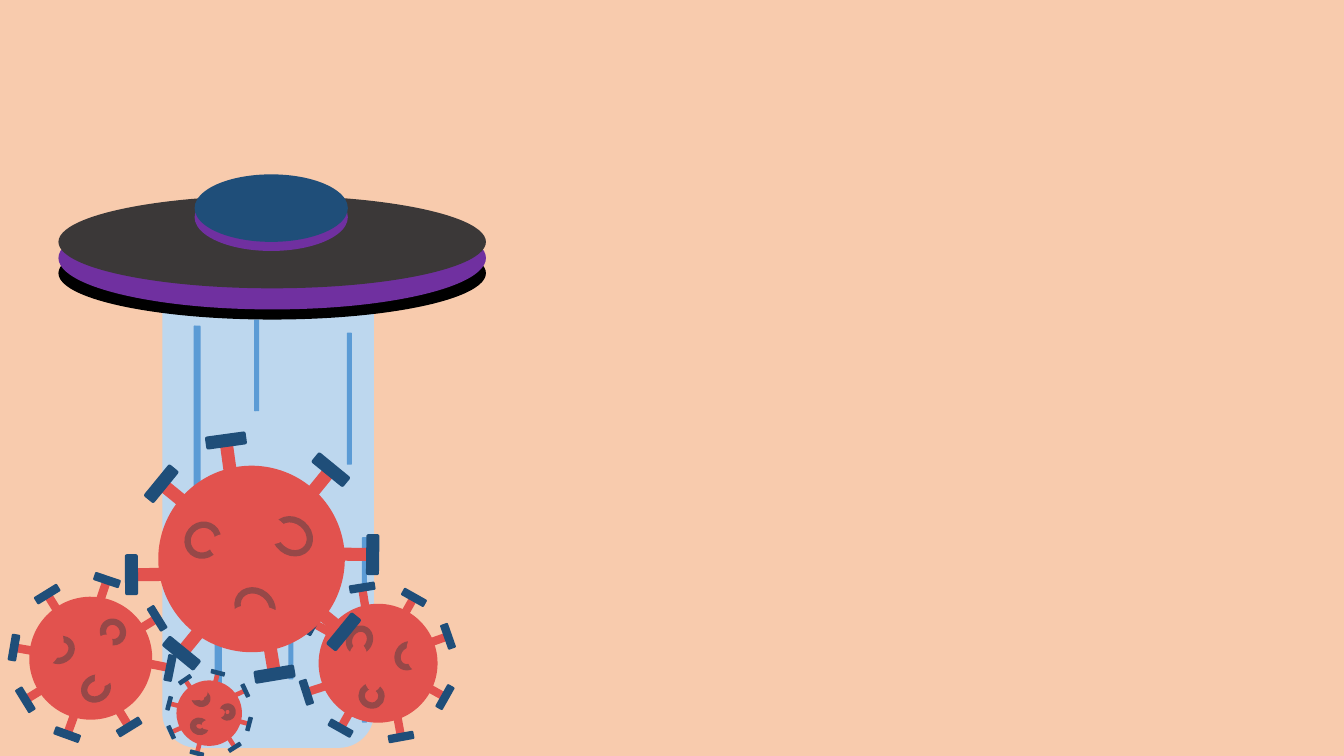
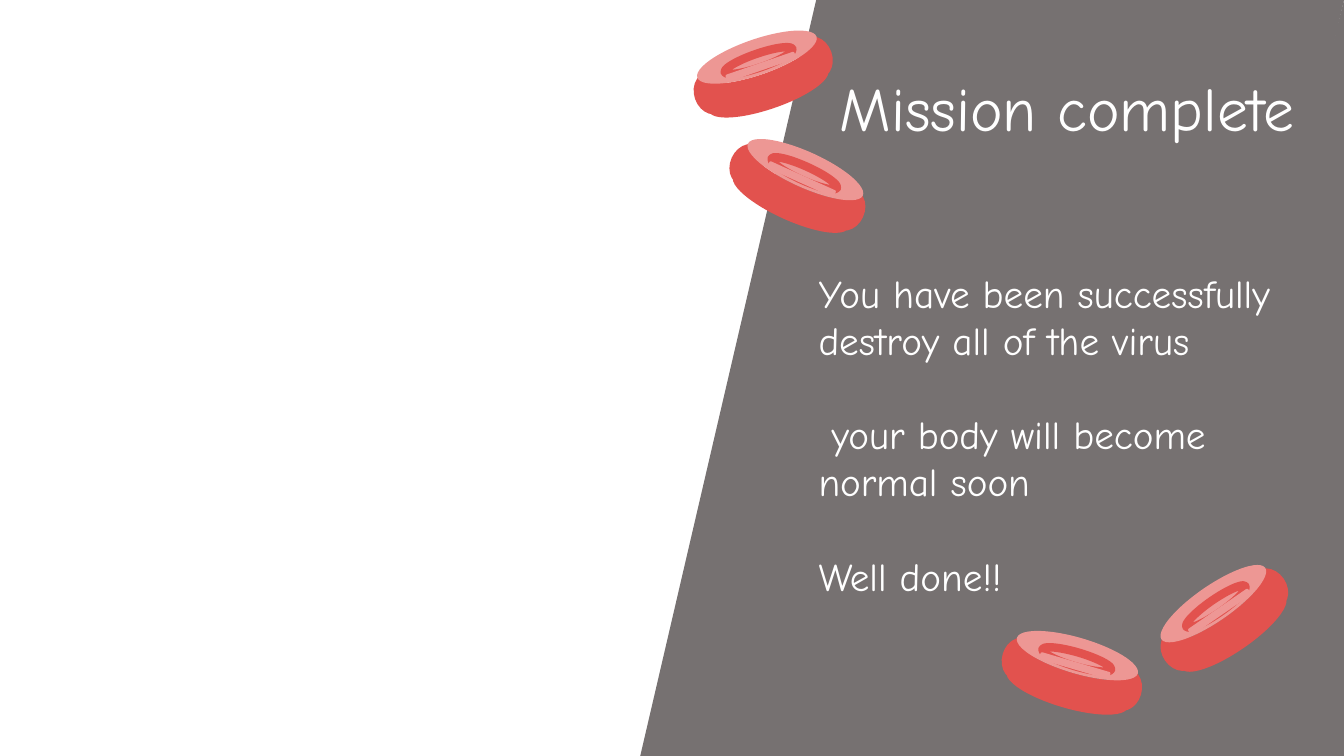
from math import cos, radians, sin

from pptx import Presentation
from pptx.dml.color import RGBColor
from pptx.enum.shapes import MSO_SHAPE as Preset
from pptx.enum.text import MSO_ANCHOR as Anchor, MSO_AUTO_SIZE as AutoSize, PP_ALIGN as Align
from pptx.util import Inches, Pt

# Grid of square cells, ten to the inch
CELL = Inches(0.1)
COLUMNS, ROWS = 133.3, 75
TITLE_ONLY, BLANK = 5, 6

FONT = "Comic Neue"
WHITE, PEACH, GREY = "FFFFFF", "F8CBAD", "767171"
BEAM, STREAK = "BDD7EE", "5B9BD5"
BLACK, PURPLE, CHARCOAL, NAVY = "000000", "7030A0", "3B3838", "1F4E79"
RED, DARK_RED, PINK = "E2524E", "964848", "EE9795"

# Streaks in the beam: left, top, width, height
STREAKS = [
    (19.2, 32.3, 0.7, 21.3), (25.2, 31.7, 0.5, 9.1), (34.4, 33, 0.5, 13.1),
    (35.9, 53.3, 0.5, 18.4), (28.6, 63.6, 0.5, 3.8), (21.3, 61.1, 0.7, 11.5),
]

# Discs of the saucer: left, top, width, height, colour
SAUCER = [
    (5.8, 22.5, 42.4, 9.2, BLACK), (5.8, 20.5, 42.4, 10.2, PURPLE),
    (5.8, 19.4, 42.4, 9.2, CHARCOAL), (19.3, 18.2, 15.2, 6.7, PURPLE),
    (19.3, 17.3, 15.2, 6.7, NAVY),
]

# Viruses: centre column, centre row, diameter, turn
VIRUSES = [
    (37.5, 65.8, 11.8, 119.4), (9, 65.3, 12.2, 328.4),
    (20.75, 70.75, 6.5, 14.6), (24.95, 55.45, 18.5, 219.2),
]

# Virus parts in diameters: bearing and distance from the centre, then turn or size
SPIKES = [
    (-50.8, 0.54, -48.7), (-91, 0.54, -90), (228.3, 0.56, 231.5), (90.7, 0.54, 90),
    (-3, 0.54, 0), (182.8, 0.55, 180), (127.9, 0.56, 132.9), (42.2, 0.56, 50.3),
]
STEM, CAP, CAP_REACH = (0.07, 0.15), (0.07, 0.22), 0.09
RINGS = [(-43.4, 0.26, 0.2), (201.7, 0.25, 0.2), (71.9, 0.28, 0.16)]
RING_HEIGHT = 0.17
LIDS = [(-47.5, 0.34), (86.1, 0.08), (151.6, 0.17)]
LID, LID_TURN = (0.33, 0.17), -26.1

# Blood cells: centre column, centre row, turn
BLOOD_CELLS = [
    (75.65, 7.35, 341), (79.15, 18.45, 24.3),
    (121.35, 61.35, 325.4), (106.35, 66.75, 16.4),
]

# Blood cell parts: offset from the centre, size, preset, fill, outline
CELL_PARTS = [
    (5.5, 0.15, 3.3, 4.2, Preset.OVAL, RED, None),
    (-5.5, 0.15, 3.3, 4.2, Preset.OVAL, RED, None),
    (0, 0, 12.5, 7.1, Preset.CAN, RED, None),
    (0.05, -1.4, 7.1, 1.4, Preset.OVAL, PINK, (RED, 6)),
    (0.05, -0.75, 7.1, 0.6, Preset.ROUNDED_RECTANGLE, PINK, (PINK, 1)),
]

MESSAGE = [
    "You have been successfully destroy all of the virus",
    " your body will become normal soon",
    "Well done!!",
]


def colour(hex_code):
    """Turn a hex string into a colour."""
    return RGBColor.from_string(hex_code)


def cells(*counts):
    """Turn grid counts into slide lengths."""
    return [round(count * CELL) for count in counts]


def step(x, y, bearing, distance):
    """Move from a point along a clockwise bearing that starts at the top."""
    angle = radians(bearing)
    return x + distance * sin(angle), y - distance * cos(angle)


class Deck:
    """Holds the presentation, its style and the current slide."""

    def __init__(self):
        """Open an empty deck sized to the grid."""
        self.show = Presentation()
        self.show.slide_width, self.show.slide_height = cells(COLUMNS, ROWS)
        self.slide = None

    def new_slide(self, layout):
        """Start a slide on the given layout."""
        self.slide = self.show.slides.add_slide(self.show.slide_layouts[layout])

    def shape(self, preset, left, top, width, height, fill, outline=None, turn=0):
        """Draw a preset shape from its top left corner."""
        drawn = self.slide.shapes.add_shape(preset, *cells(left, top, width, height))
        drawn.shadow.inherit = False
        drawn.fill.solid()
        drawn.fill.fore_color.rgb = colour(fill)
        if outline:
            drawn.line.color.rgb = colour(outline[0])
            drawn.line.width = Pt(outline[1])
        else:
            drawn.line.fill.background()
        drawn.rotation = turn % 360
        return drawn

    def centred(self, preset, x, y, width, height, fill, outline=None, turn=0):
        """Draw a preset shape around its centre."""
        return self.shape(preset, x - width / 2, y - height / 2, width, height,
                          fill, outline, turn)

    def set_wording(self, frame, paragraphs, size, align, gap=0):
        """Fill a text frame and style every run."""
        frame.word_wrap = True
        frame.auto_size = AutoSize.SHAPE_TO_FIT_TEXT
        frame.vertical_anchor = Anchor.TOP
        frame.text = "\n".join(paragraphs)
        for number, paragraph in enumerate(frame.paragraphs):
            paragraph.alignment = align
            paragraph.line_spacing = 1.0
            paragraph.space_before = Pt(gap if number else 0)
            for run in paragraph.runs:
                run.font.name = FONT
                run.font.size = Pt(size)
                run.font.color.rgb = colour(WHITE)

    def title(self, wording, left, top, width, height):
        """Place the title in front of what is already drawn."""
        heading = self.slide.shapes.title
        heading.left, heading.top, heading.width, heading.height = cells(
            left, top, width, height)
        self.slide.shapes._spTree.append(heading._element)
        self.set_wording(heading.text_frame, [wording], 44, Align.CENTER)

    def text(self, paragraphs, left, top, width, height):
        """Add body text with one line of space between paragraphs."""
        box = self.slide.shapes.add_textbox(*cells(left, top, width, height))
        self.set_wording(box.text_frame, paragraphs, 28, Align.LEFT, gap=33.8)

    def virus(self, x, y, diameter, turn):
        """Draw a virus with spikes, eyes and mouth."""
        def part(preset, centre, size, fill, part_turn, outline=None):
            """Draw one part, sized in diameters."""
            width, height = (share * diameter for share in size)
            self.centred(preset, *centre, width, height, fill, outline, part_turn)

        def around(bearing, distance):
            """Locate a part around the body's centre."""
            return step(x, y, turn + bearing, distance * diameter)

        part(Preset.OVAL, (x, y), (1, 1), RED, turn)
        for bearing, distance, lean in SPIKES:
            stem, heading = around(bearing, distance), turn + lean
            cap = step(*stem, heading, CAP_REACH * diameter)
            part(Preset.ROUNDED_RECTANGLE, stem, STEM, RED, heading)
            part(Preset.ROUNDED_RECTANGLE, cap, CAP, NAVY, heading + 90)
        for bearing, distance, width in RINGS:
            part(Preset.OVAL, around(bearing, distance), (width, RING_HEIGHT),
                 RED, turn, (DARK_RED, 4.5))
        for bearing, distance in LIDS:
            part(Preset.OVAL, around(bearing, distance), LID, RED, turn + LID_TURN)

    def blood_cell(self, x, y, turn):
        """Draw a tilted blood cell."""
        for across, down, width, height, preset, fill, outline in CELL_PARTS:
            centre = step(*step(x, y, turn + 90, across), turn + 180, down)
            drawn = self.centred(preset, *centre, width, height, fill, outline, turn)
            if preset == Preset.CAN:
                drawn.adjustments[0] = 0.5

    def panel(self):
        """Draw the slanted panel down the right side."""
        self.shape(Preset.PARALLELOGRAM, 63.5, 0, COLUMNS - 63.5, ROWS, GREY)
        corner = self.shape(Preset.RIGHT_TRIANGLE, COLUMNS - 18.5, 0, 18.5, ROWS, GREY)
        corner._element.spPr.get_or_add_xfrm().set("flipH", "1")


def build_abduction(deck):
    """Draw the saucer lifting the viruses in its beam."""
    deck.new_slide(BLANK)
    deck.shape(Preset.RECTANGLE, 0, 0, COLUMNS, ROWS, PEACH)
    deck.shape(Preset.ROUNDED_RECTANGLE, 16.1, 27.8, 21, 46.4, BEAM)
    for streak in STREAKS:
        deck.shape(Preset.ROUNDED_RECTANGLE, *streak, STREAK)
    for virus in VIRUSES:
        deck.virus(*virus)
    for disc in SAUCER:
        deck.shape(Preset.OVAL, *disc)


def build_mission_complete(deck):
    """Draw the closing message beside the blood cells."""
    deck.new_slide(TITLE_ONLY)
    deck.panel()
    deck.title("Mission complete", 79.4, 6.4, 52.9, 8.4)
    deck.text(MESSAGE, 80.2, 26.2, 51.3, 34)
    for blood_cell in BLOOD_CELLS:
        deck.blood_cell(*blood_cell)


deck = Deck()
build_abduction(deck)
build_mission_complete(deck)
deck.show.save("out.pptx")
